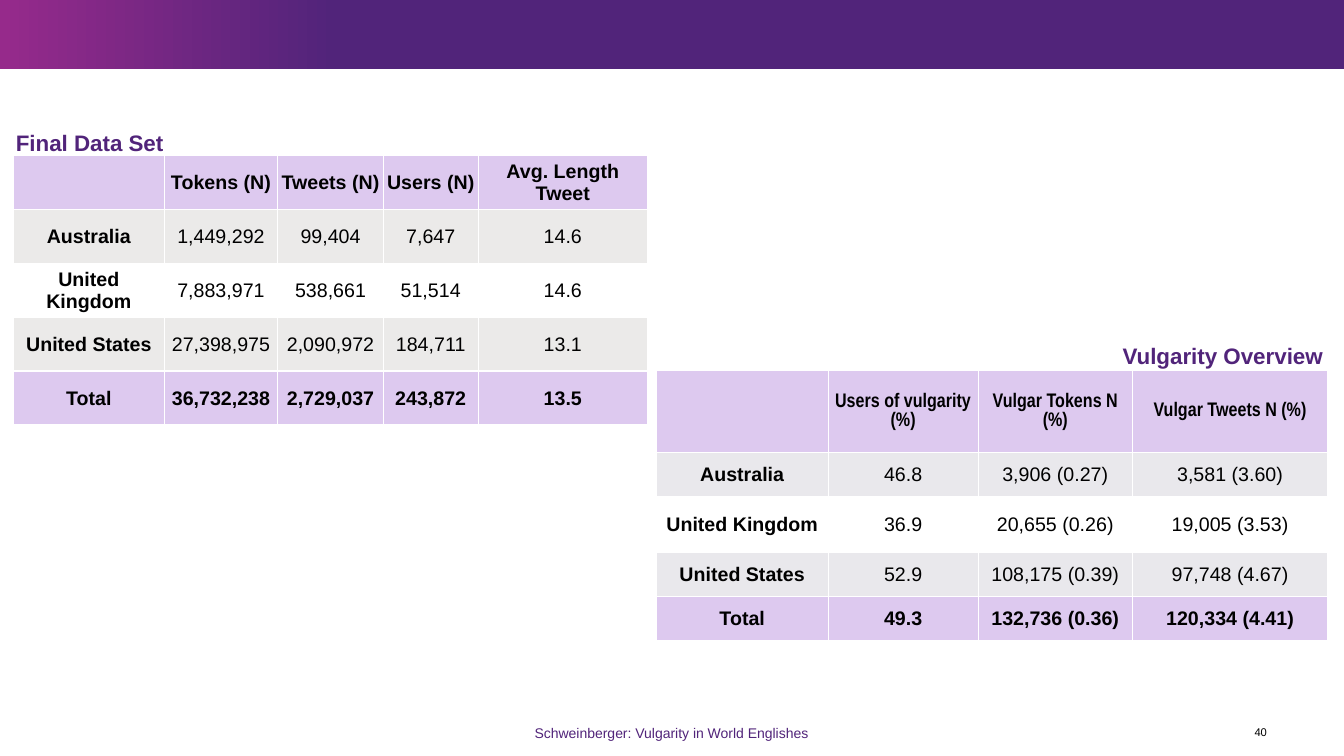
from lxml.etree import SubElement
from pptx import Presentation
from pptx.dml.color import RGBColor
from pptx.enum.shapes import MSO_SHAPE
from pptx.enum.text import MSO_ANCHOR, PP_ALIGN
from pptx.oxml.ns import qn
from pptx.util import Cm, Pt

PURPLE = RGBColor(0x51, 0x24, 0x7A)
MAGENTA = RGBColor(0x96, 0x2A, 0x8B)
LILAC = RGBColor(0xDD, 0xC9, 0xEF)
WARM_GREY = RGBColor(0xEB, 0xEA, 0xE9)
COOL_GREY = RGBColor(0xE9, 0xE8, 0xEC)
WHITE = RGBColor(0xFF, 0xFF, 0xFF)
BLACK = RGBColor(0, 0, 0)

DATA_SET = [
    ["", "Tokens (N)", "Tweets (N)", "Users (N)", "Avg. Length Tweet"],
    ["Australia", "1,449,292", "99,404", "7,647", "14.6"],
    ["United Kingdom", "7,883,971", "538,661", "51,514", "14.6"],
    ["United States", "27,398,975", "2,090,972", "184,711", "13.1"],
    ["Total", "36,732,238", "2,729,037", "243,872", "13.5"],
]
VULGARITY = [
    ["", "Users of vulgarity (%)", "Vulgar Tokens N (%)", "Vulgar Tweets N (%)"],
    ["Australia", "46.8", "3,906 (0.27)", "3,581 (3.60)"],
    ["United Kingdom", "36.9", "20,655 (0.26)", "19,005 (3.53)"],
    ["United States", "52.9", "108,175 (0.39)", "97,748 (4.67)"],
    ["Total", "49.3", "132,736 (0.36)", "120,334 (4.41)"],
]


def format_paragraph(paragraph, size, color, bold, alignment, spacing=1.0, font_name="Arial"):
    paragraph.alignment = alignment
    paragraph.line_spacing = spacing
    for run in paragraph.runs:
        run.font.name = font_name
        run.font.size = Pt(size)
        run.font.bold = bold
        run.font.color.rgb = color


def add_band(slide, left, top, width, height):
    band = slide.shapes.add_shape(MSO_SHAPE.RECTANGLE, left, top, width, height)
    band.shadow.inherit = False
    band.line.fill.background()
    band.fill.gradient()
    band.fill.gradient_angle = 0
    for stop, color, position in zip(band.fill.gradient_stops, (MAGENTA, PURPLE), (0, 0.25)):
        stop.color.rgb = color
        stop.position = position


def add_label(slide, box, text, size, color, alignment, bold=False, spacing=1.0):
    label = slide.shapes.add_textbox(*box)
    frame = label.text_frame
    frame.word_wrap = True
    frame.vertical_anchor = MSO_ANCHOR.MIDDLE
    frame.margin_left = frame.margin_right = frame.margin_top = frame.margin_bottom = 0
    frame.text = text
    format_paragraph(frame.paragraphs[0], size, color, bold, alignment, spacing)


def add_borders(cell):
    properties = cell._tc.get_or_add_tcPr()
    for side in ("a:lnL", "a:lnR", "a:lnT", "a:lnB"):
        line = SubElement(properties, qn(side), w=str(Pt(1)))
        fill = SubElement(line, qn("a:solidFill"))
        SubElement(fill, qn("a:srgbClr"), val=str(WHITE))


def add_data_table(slide, left, top, widths, heights, rows, band_color, header_font="Arial"):
    table = slide.shapes.add_table(len(rows), len(widths), left, top,
                                   Cm(sum(widths)), Cm(sum(heights))).table
    table.first_row = table.horz_banding = False
    for column, width in zip(table.columns, widths):
        column.width = Cm(width)
    for row, height in zip(table.rows, heights):
        row.height = Cm(height)
    fills = [LILAC, band_color, WHITE, band_color, LILAC]
    for row_index, values in enumerate(rows):
        is_header = row_index == 0
        is_total = row_index == len(rows) - 1
        for column_index, value in enumerate(values):
            cell = table.cell(row_index, column_index)
            add_borders(cell)
            cell.fill.solid()
            cell.fill.fore_color.rgb = fills[row_index]
            cell.vertical_anchor = MSO_ANCHOR.MIDDLE
            cell.margin_left = cell.margin_right = cell.margin_top = Cm(0.03)
            cell.margin_bottom = 0
            cell.text_frame.text = value
            format_paragraph(cell.text_frame.paragraphs[0], 14, BLACK,
                             is_header or is_total or column_index == 0, PP_ALIGN.CENTER,
                             font_name=header_font if is_header else "Arial")


def add_title(slide, left, top, text, alignment):
    add_label(slide, (left, top, Cm(12.6), Cm(1.3)), text, 16, PURPLE, alignment,
              bold=True, spacing=0.9)


def add_footer(slide, top, height):
    add_label(slide, (Cm(12.22), top, Cm(9.4), height),
              "Schweinberger: Vulgarity in World Englishes", 10, PURPLE,
              PP_ALIGN.CENTER, spacing=1.1)
    add_label(slide, (Cm(31.14), top, Cm(0.79), height), "40", 8, BLACK, PP_ALIGN.RIGHT)


def main():
    presentation = Presentation()
    presentation.slide_width = Cm(33.87)
    presentation.slide_height = Cm(19.05)
    slide = presentation.slides.add_slide(presentation.slide_layouts[6])

    # Master band and footer
    add_band(slide, 0, 0, presentation.slide_width, Cm(1.75))
    add_footer(slide, Cm(18.12), Cm(0.66))

    # Data set, upper left
    add_data_table(slide, Cm(0.34), Cm(3.91), [3.8, 2.86, 2.66, 2.39, 4.27], [1.36] * 5,
                   DATA_SET, WARM_GREY)
    add_title(slide, Cm(0.4), Cm(2.98), "Final Data Set", PP_ALIGN.LEFT)

    # Vulgarity figures, lower right
    add_data_table(slide, Cm(16.54), Cm(9.33), [4.33, 3.78, 3.89, 4.92],
                   [2.07, 1.11, 1.41, 1.11, 1.1], VULGARITY, COOL_GREY, "Arial Narrow")
    add_title(slide, Cm(20.74), Cm(8.36), "Vulgarity Overview", PP_ALIGN.RIGHT)

    presentation.save("out.pptx")


if __name__ == "__main__":
    main()
